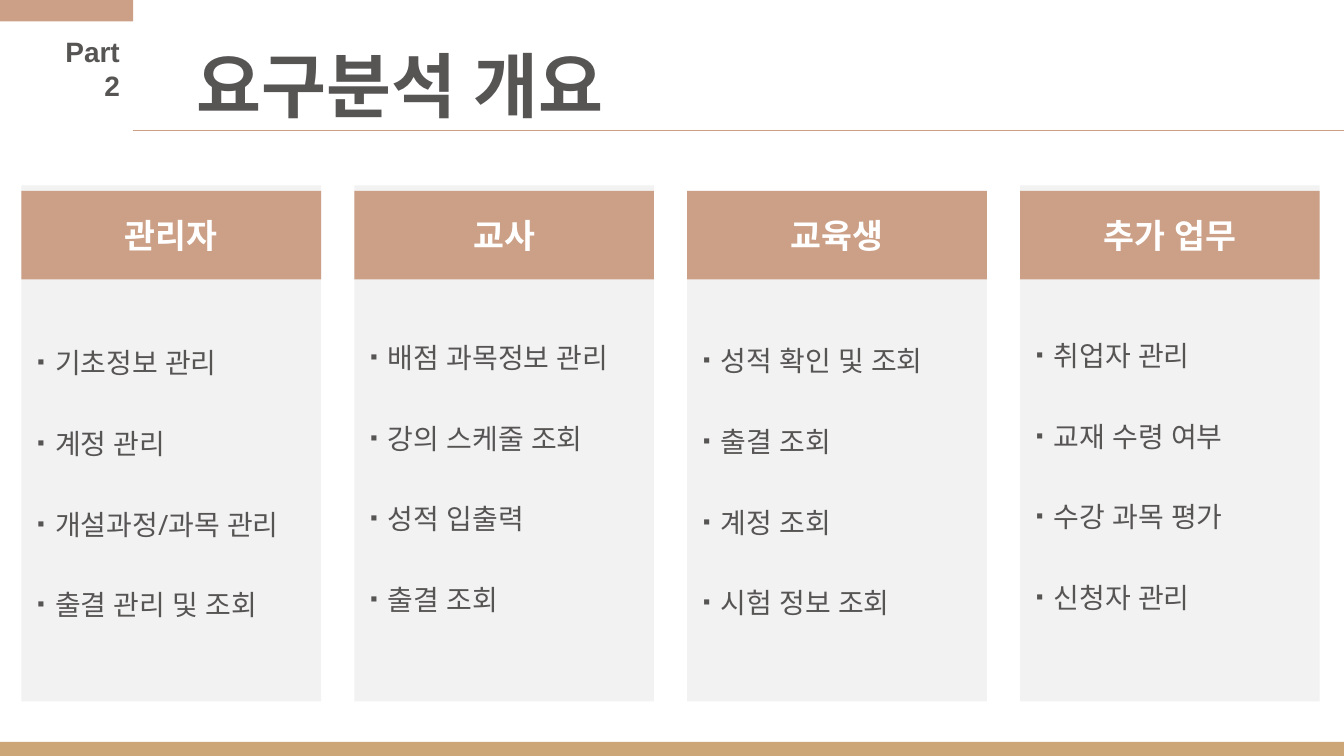
from pptx import Presentation
from pptx.dml.color import RGBColor
from pptx.enum.shapes import MSO_CONNECTOR, MSO_SHAPE
from pptx.enum.text import MSO_ANCHOR, PP_ALIGN
from pptx.oxml.ns import qn
from pptx.util import Inches, Pt
from lxml.etree import SubElement

TITLE = "요구분석 개요"
PART = "Part 2"
MARK = "⠂"
CARDS = [
    ("관리자", 1.38, 0.62, ["기초정보 관리", "계정 관리", "개설과정/과목 관리", "출결 관리 및 조회"]),
    ("교사", 1.38, 0.54, ["배점 과목정보 관리", "강의 스케줄 조회", "성적 입출력", "출결 조회"]),
    ("교육생", 1.42, 0.55, ["성적 확인 및 조회", "출결 조회", "계정 조회", "시험 정보 조회"]),
    ("추가 업무", 1.38, 0.51, ["취업자 관리", "교재 수령 여부", "수강 과목 평가", "신청자 관리"]),
]
CLAY, GOLD, PALE, INK, WHITE = "CCA087", "CCA677", "F2F2F2", "575454", "FFFFFF"
WIDE = 10
HIGH = WIDE * 9 / 16
LEFT, LAST, CARD = 0.16, 7.59, 2.23
STEP = (LAST - LEFT) / (len(CARDS) - 1)
HEAD, BASE = 1.42, 5.22
SIDE = 0.99

deck = Presentation()
deck.slide_width, deck.slide_height = Inches(WIDE), Inches(HIGH)
slide = deck.slides.add_slide(deck.slide_layouts[5])


def color(code):
    return RGBColor.from_string(code)


def style(para, font, size, code, bold, align):
    para.alignment = align
    for run in para.runs:
        run.font.size = Pt(size)
        run.font.bold = bold
        run.font.color.rgb = color(code)
        run.font.name = font
        SubElement(run.font._element, qn("a:ea")).set("typeface", font)


def inset(frame, x, y):
    frame.margin_left = frame.margin_right = Inches(x)
    frame.margin_top = frame.margin_bottom = Inches(y)
    frame.word_wrap = True


def box(x, y, w, h, code):
    shape = slide.shapes.add_shape(MSO_SHAPE.RECTANGLE, *map(Inches, (x, y, w, h)))
    shape.shadow.inherit = False
    shape.fill.solid()
    shape.fill.fore_color.rgb = color(code)
    shape.line.fill.background()
    inset(shape.text_frame, 0.1, 0.05)
    shape.text_frame.vertical_anchor = MSO_ANCHOR.MIDDLE
    return shape


def fill_list(frame, items, top):
    frame.margin_top = Inches(top)
    frame.text = "\n".join([MARK] * len(items))
    for i, (para, item) in enumerate(zip(frame.paragraphs, items)):
        para.add_run().text = item
        para.line_spacing = Pt(20)
        para.space_before = Pt(23.2 if i else 0)
        style(para, "Open Sans", 15, INK, False, PP_ALIGN.JUSTIFY)
        mark = para.runs[0].font
        mark.size = Pt(14)
        mark.bold = True


box(0, 5.52, WIDE, HIGH - 5.52, GOLD)
title = slide.shapes.title
title.left, title.top, title.width, title.height = map(Inches, (1.36, 0.45, 8.43, 0.59))
title.text_frame.text = TITLE
inset(title.text_frame, 0.1, 0.1)
title.text_frame.vertical_anchor = MSO_ANCHOR.BOTTOM
style(title.text_frame.paragraphs[0], "Roboto", 37.8, INK, True, PP_ALIGN.LEFT)

box(0, 0, SIDE, 0.16, CLAY)
part = slide.shapes.add_textbox(*map(Inches, (0.38, 0.16, SIDE - 0.38, 0.71))).text_frame
part.text = PART
inset(part, 0.1, 0.1)
style(part.paragraphs[0], "Arial", 15, INK, True, PP_ALIGN.RIGHT)

rule = slide.shapes.add_connector(MSO_CONNECTOR.STRAIGHT, *map(Inches, (SIDE, 0.97, WIDE, 0.97)))
rule.line.color.rgb = color(CLAY)
rule.line.width = Pt(0.75)
SubElement(rule._element.spPr, qn("a:effectLst"))

for i, (name, top, gap, items) in enumerate(CARDS):
    x = LEFT + i * STEP
    fill_list(box(x, top, CARD, BASE - top, PALE).text_frame, items, gap)
    head = box(x, HEAD, CARD, 0.66, CLAY).text_frame
    head.text = name
    style(head.paragraphs[0], "Arial", 18, WHITE, True, PP_ALIGN.CENTER)

deck.save("out.pptx")
